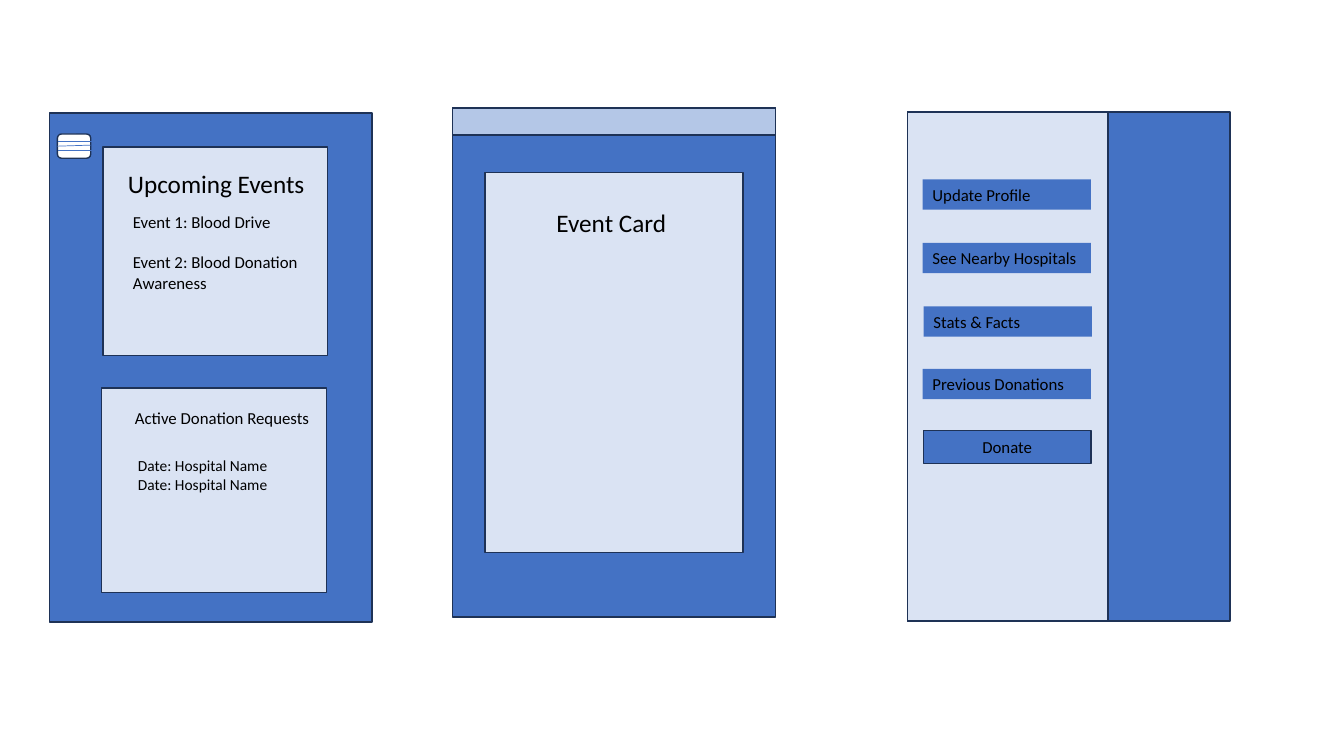
"""Build a slide with three wireframe screens of a blood donation app."""
from dataclasses import dataclass

import pptx
import pptx.dml.color
import pptx.enum.shapes
import pptx.enum.text
import pptx.oxml.ns
import pptx.util
from lxml import etree

Inches = pptx.util.Inches
Pt = pptx.util.Pt
RGBColor = pptx.dml.color.RGBColor
Kind = pptx.enum.shapes.MSO_SHAPE
Anchor = pptx.enum.text.MSO_ANCHOR
Align = pptx.enum.text.PP_ALIGN

BLUE = RGBColor(0x44, 0x72, 0xC4)
PALE = RGBColor(0xDA, 0xE3, 0xF3)
LIGHT = RGBColor(0xB4, 0xC7, 0xE7)
NAVY = RGBColor(0x1E, 0x32, 0x56)
WHITE = RGBColor(0xFF, 0xFF, 0xFF)
BLACK = RGBColor(0x00, 0x00, 0x00)

FONT = "Calibri"
SCREEN_WIDTH, SCREEN_HEIGHT = 3.2, 5.05


@dataclass(frozen=True)
class Block:
    left: float
    top: float
    width: float
    height: float
    fill: RGBColor
    outlined: bool = True
    kind: Kind = Kind.RECTANGLE


@dataclass(frozen=True)
class Label:
    left: float
    top: float
    width: float
    height: float
    size: float
    lines: tuple[str, ...]
    gap: float = 0


@dataclass(frozen=True)
class Stroke:
    start: tuple[float, float]
    end: tuple[float, float]
    joined: bool = False


MENU_ICON = Block(0.57, 1.33, 0.33, 0.24, WHITE, kind=Kind.ROUNDED_RECTANGLE)
MENU_STROKES = (
    Stroke((0.57, 1.45), (0.9, 1.44), joined=True),
    Stroke((0.58, 1.49), (0.91, 1.49)),
    Stroke((0.58, 1.4), (0.91, 1.4)),
)
BLOCKS = (
    Block(0.49, 1.12, SCREEN_WIDTH, SCREEN_HEIGHT, BLUE),
    Block(1.02, 1.46, 2.23, 2.07, PALE),
    Block(1.01, 3.85, 2.23, 2.03, PALE),
    Block(4.49, 1.07, SCREEN_WIDTH, SCREEN_HEIGHT, BLUE),
    Block(4.49, 1.07, SCREEN_WIDTH, 0.27, LIGHT),
    Block(4.81, 1.71, 2.56, 3.77, PALE),
    Block(9, 1.11, SCREEN_WIDTH, SCREEN_HEIGHT, BLUE),
    Block(9, 1.11, 1.99, SCREEN_HEIGHT, PALE),
)
LABELS = (
    Label(1.17, 1.62, 1.98, 0.4, 18, ("Upcoming Events",)),
    Label(1.22, 2.05, 1.97, 0.91, 12,
          ("Event 1: Blood Drive", "Event 2: Blood Donation Awareness"), gap=14.6),
    Label(1.24, 4, 2.78, 0.3, 12, ("Active Donation Requests",)),
    Label(1.27, 4.48, 1.77, 0.77, 11, ("Date: Hospital Name",) * 2),
    Label(5.42, 2.01, 1.74, 0.4, 18, ("Event Card",)),
)
MENU_ITEMS = (
    ("Update Profile", 9.15, 1.78),
    ("See Nearby Hospitals", 9.15, 2.41),
    ("Stats & Facts", 9.16, 3.04),
    ("Previous Donations", 9.15, 3.66),
)
DONATE_BUTTON = Block(9.16, 4.27, 1.66, 0.33, BLUE)


def draw_block(page: pptx.slide.Slide, block: Block) -> pptx.shapes.autoshape.Shape:
    shape = page.shapes.add_shape(
        block.kind, Inches(block.left), Inches(block.top),
        Inches(block.width), Inches(block.height))
    shape.shadow.inherit = False
    shape.fill.solid()
    shape.fill.fore_color.rgb = block.fill
    if block.outlined:
        shape.line.color.rgb = NAVY
        shape.line.width = Pt(1)
    else:
        shape.line.fill.background()
    return shape


def write_lines(shape: pptx.shapes.autoshape.Shape, lines: tuple[str, ...], size: float,
                align: Align = Align.LEFT, anchor: Anchor = Anchor.TOP,
                gap: float = 0) -> None:
    frame = shape.text_frame
    frame.word_wrap = True
    frame.vertical_anchor = anchor
    for index, line in enumerate(lines):
        para = frame.add_paragraph() if index else frame.paragraphs[0]
        para.alignment = align
        para.space_before = Pt(gap if index else 0)
        span = para.add_run()
        span.text = line
        span.font.name = FONT
        span.font.size = Pt(size)
        span.font.color.rgb = BLACK


def draw_label(page: pptx.slide.Slide, label: Label) -> None:
    box = page.shapes.add_textbox(
        Inches(label.left), Inches(label.top), Inches(label.width), Inches(label.height))
    write_lines(box, label.lines, label.size, gap=label.gap)


def draw_stroke(page: pptx.slide.Slide, stroke: Stroke,
                icon: pptx.shapes.autoshape.Shape) -> None:
    line = page.shapes.add_connector(
        pptx.enum.shapes.MSO_CONNECTOR.STRAIGHT,
        *map(Inches, stroke.start), *map(Inches, stroke.end))
    if stroke.joined:
        line.begin_connect(icon, 1)
    line.line.color.rgb = BLUE
    line.line.width = Pt(0.5)
    etree.SubElement(line._element.spPr, pptx.oxml.ns.qn("a:effectLst"))


def main() -> None:
    deck = pptx.Presentation()
    deck.slide_width, deck.slide_height = Inches(13.33), Inches(7.5)
    page = deck.slides.add_slide(deck.slide_layouts[6])
    for block in BLOCKS:
        draw_block(page, block)
    icon = draw_block(page, MENU_ICON)
    for stroke in MENU_STROKES:
        draw_stroke(page, stroke, icon)
    for label in LABELS:
        draw_label(page, label)
    for text, left, top in MENU_ITEMS:
        item = draw_block(page, Block(left, top, 1.67, 0.3, BLUE, outlined=False))
        write_lines(item, (text,), 12)
    donate = draw_block(page, DONATE_BUTTON)
    write_lines(donate, ("Donate",), 12, Align.CENTER, Anchor.MIDDLE)
    deck.save("out.pptx")


if __name__ == "__main__":
    main()
